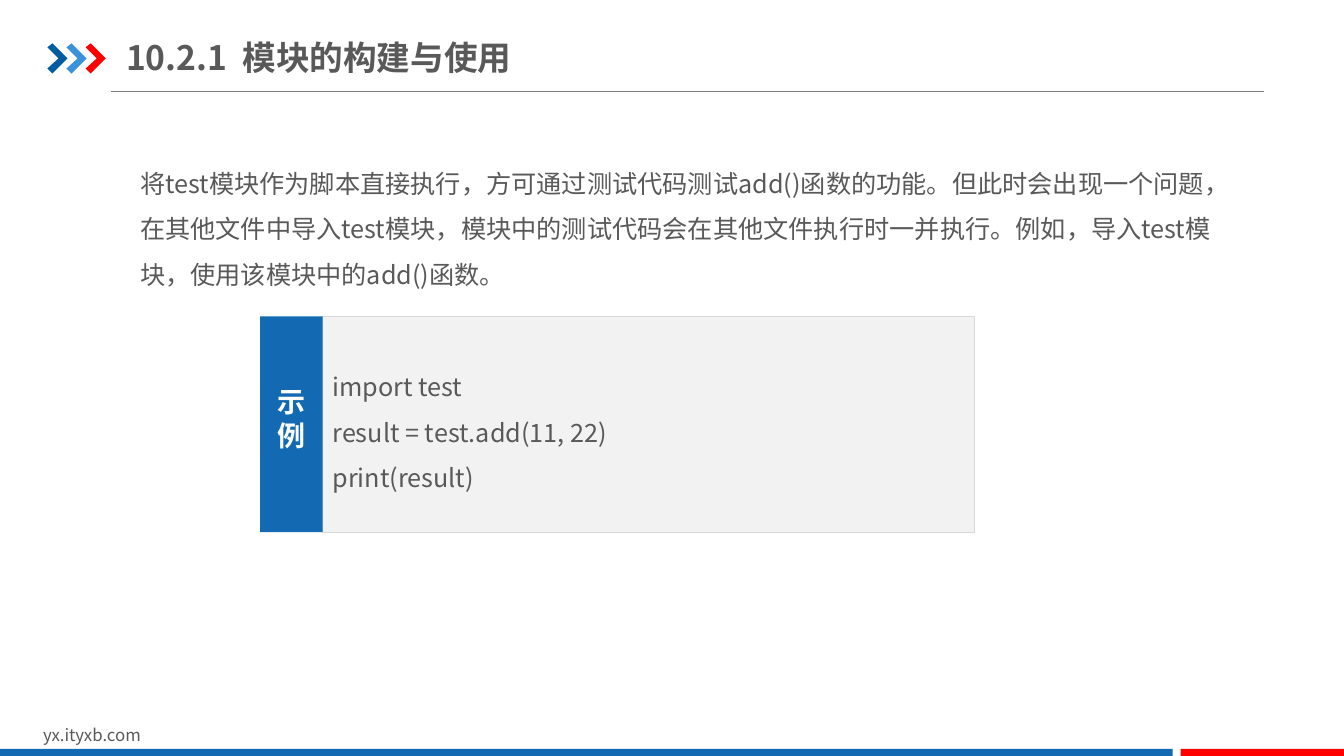
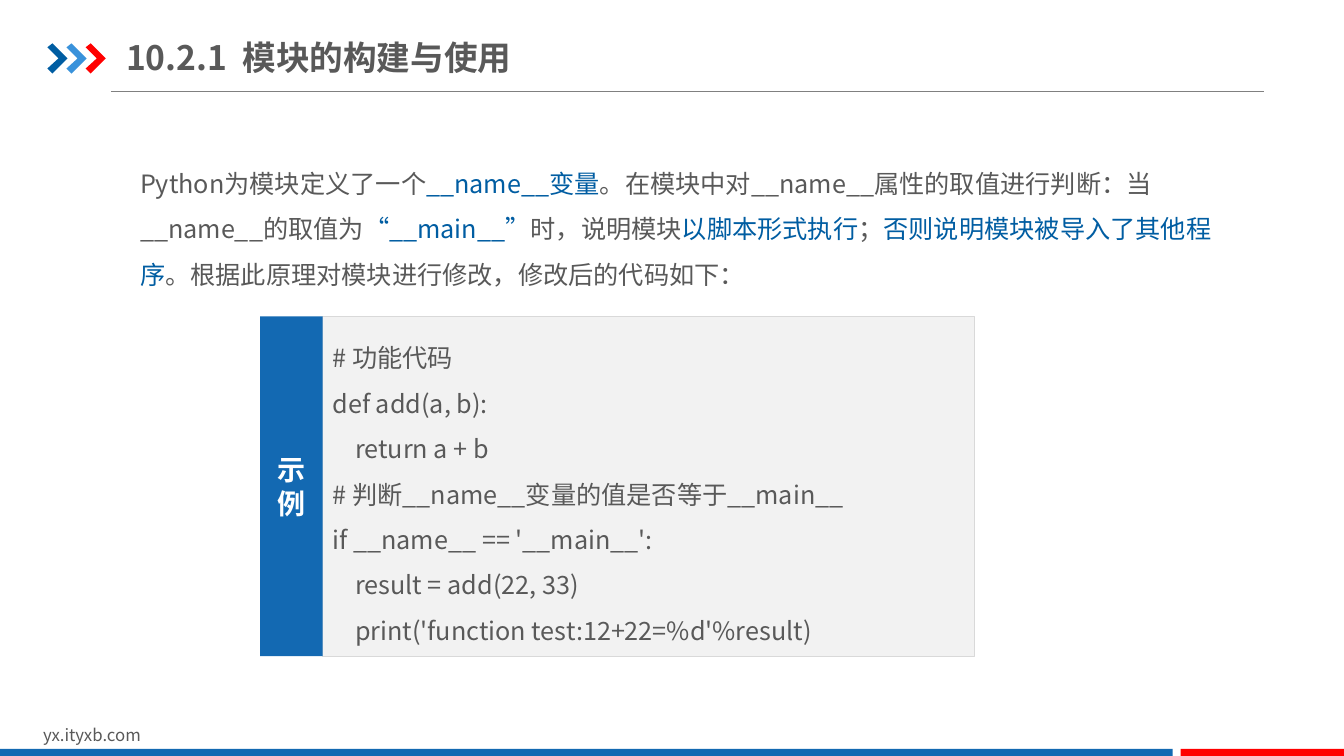
"""Build two slides on creating and using Python modules."""
from dataclasses import dataclass
from itertools import cycle

from lxml.etree import SubElement
from pptx import Presentation
from pptx.dml.color import RGBColor
from pptx.enum.shapes import MSO_CONNECTOR, MSO_SHAPE
from pptx.enum.text import MSO_ANCHOR, MSO_AUTO_SIZE, PP_ALIGN
from pptx.oxml.ns import qn
from pptx.util import Inches, Pt


@dataclass(frozen=True)
class Theme:
    """Colours, font and type sizes of the deck."""
    font: str = "Noto Sans CJK SC"
    text: str = "595959"
    white: str = "FFFFFF"
    navy: str = "005DA2"
    sky: str = "3992DB"
    blue: str = "1369B2"
    red: str = "FF0000"
    rule: str = "808080"
    panel: str = "F2F2F2"
    border: str = "D9D9D9"
    title_size: int = 24
    label_size: int = 20
    body_size: int = 18
    footer_size: int = 12


THEME = Theme()
TITLE = "10.2.1  模块的构建与使用"
CHEVRON = [(0, 0.04), (0.05, 0), (0.2, 0.15), (0.05, 0.3), (0, 0.25), (0.11, 0.15)]
SLIDES = [
    {
        "body": ["将test模块作为脚本直接执行，方可通过测试代码测试add()函数的功能。"
                 "但此时会出现一个问题，在其他文件中导入test模块，模块中的测试代码会在"
                 "其他文件执行时一并执行。例如，导入test模块，使用该模块中的add()函数。"],
        "code": ["import test", "result = test.add(11, 22)", "print(result)"],
        "height": 2.14,
        "label_top": 3.77,
    },
    {
        "body": ["Python为模块定义了一个", "__name__变量",
                 "。在模块中对__name__属性的取值进行判断：当__name__的取值为",
                 "“__main__”", "时，说明模块", "以脚本形式执行", "；",
                 "否则说明模块被导入了其他程序",
                 "。根据此原理对模块进行修改，修改后的代码如下："],
        "code": ["# 功能代码", "def add(a, b):", "    return a + b",
                 "# 判断__name__变量的值是否等于__main__",
                 "if __name__ == '__main__':", "    result = add(22, 33)",
                 "    print('function test:12+22=%d'%result)"],
        "height": 3.37,
        "label_top": 4.44,
    },
]


def rgb(color):
    """Turn a hex string into a colour."""
    return RGBColor.from_string(color)


def apply(target, values):
    """Set each named format value on the target."""
    for name, value in values.items():
        setattr(target, name, value)


def write(tf, paragraphs, size, bold=False, frame=None, para=None):
    """Fill a text frame with paragraphs of (text, colour) runs."""
    apply(tf, {"word_wrap": True, **(frame or {})})
    for i, runs in enumerate(paragraphs):
        p = tf.add_paragraph() if i else tf.paragraphs[0]
        apply(p, {"alignment": PP_ALIGN.LEFT, **(para or {})})
        for text, color in runs:
            r = p.add_run()
            r.text = text
            apply(r.font, {"name": THEME.font, "size": Pt(size), "bold": bold})
            r.font.color.rgb = rgb(color)
            SubElement(r.font._element, qn("a:ea"), typeface=THEME.font)


def paint(sp, fill, line=None):
    """Give a shape a flat fill and an optional hairline."""
    sp.shadow.inherit = False
    sp.fill.solid()
    sp.fill.fore_color.rgb = rgb(fill)
    if line:
        sp.line.color.rgb = rgb(line)
        sp.line.width = Pt(0.25)
    else:
        sp.line.fill.background()


def add_rect(s, box, fill, line=None):
    """Add a flat rectangle."""
    sp = s.shapes.add_shape(MSO_SHAPE.RECTANGLE, *map(Inches, box))
    paint(sp, fill, line)
    return sp


def add_text(s, box, paragraphs, size, **formats):
    """Add a text box that grows with its text."""
    tf = s.shapes.add_textbox(*map(Inches, box)).text_frame
    write(tf, paragraphs, size,
          frame={"auto_size": MSO_AUTO_SIZE.SHAPE_TO_FIT_TEXT}, **formats)


def add_chevron(s, left, top, color):
    """Add one chevron outline."""
    points = [(Inches(left + x), Inches(top + y)) for x, y in CHEVRON]
    builder = s.shapes.build_freeform(*points[0])
    builder.add_line_segments(points[1:], close=True)
    paint(builder.convert_to_shape(), color)


def add_rule(s):
    """Add the line under the title."""
    ln = s.shapes.add_connector(MSO_CONNECTOR.STRAIGHT,
                                *map(Inches, (1.1, 0.91, 12.54, 0.91)))
    ln.line.color.rgb = rgb(THEME.rule)
    ln.line.width = Pt(0.75)
    SubElement(ln._element.spPr, qn("a:effectLst"))


def add_frame(s):
    """Draw the header marks and footer shared by all slides."""
    add_rule(s)
    for i, color in enumerate((THEME.navy, THEME.sky, THEME.red)):
        add_chevron(s, 0.47 + 0.19 * i, 0.43, color)
    add_text(s, (0.33, 7.14, 3.18, 0.3), [[("yx.ityxb.com", THEME.text)]],
             THEME.footer_size)
    add_rect(s, (0, 7.43, 11.63, 0.09), THEME.blue)
    add_rect(s, (11.71, 7.43, 1.63, 0.09), THEME.red)


def set_title(s, text):
    """Place and format the title placeholder."""
    sp = s.shapes.title
    apply(sp, dict(zip(("left", "top", "width", "height"),
                       map(Inches, (1.25, 0.29, 5.81, 0.55)))))
    write(sp.text_frame, [[(text, THEME.text)]], THEME.title_size, bold=True,
          frame={"auto_size": MSO_AUTO_SIZE.NONE,
                 "vertical_anchor": MSO_ANCHOR.MIDDLE,
                 "margin_left": 0, "margin_right": 0,
                 "margin_top": Inches(0.07), "margin_bottom": Inches(0.07)})


def add_body(s, parts):
    """Add the explanation, with every second part highlighted."""
    runs = list(zip(parts, cycle((THEME.text, THEME.navy))))
    add_text(s, (1.29, 1.47, 10.89, 1.41), [runs], THEME.body_size,
             para={"line_spacing": 1.5})


def add_example(s, code, height, label_top):
    """Add a code panel with its example tab."""
    panel = add_rect(s, (3.2, 3.14, 6.46, height), THEME.panel, THEME.border)
    write(panel.text_frame, [[(line, THEME.text)] for line in code],
          THEME.body_size, frame={"vertical_anchor": MSO_ANCHOR.MIDDLE},
          para={"line_spacing": 1.5})
    add_rect(s, (2.58, 3.14, 0.62, height), THEME.blue)
    add_text(s, (2.65, label_top, 0.48, 0.77),
             [[(char, THEME.white)] for char in "示例"], THEME.label_size,
             bold=True, para={"alignment": PP_ALIGN.CENTER})


def main():
    """Build and save the deck."""
    prs = Presentation()
    apply(prs, {"slide_width": Inches(13.33), "slide_height": Inches(7.5)})
    for content in SLIDES:
        s = prs.slides.add_slide(prs.slide_layouts.get_by_name("Title Only"))
        add_frame(s)
        set_title(s, TITLE)
        add_body(s, content["body"])
        add_example(s, content["code"], content["height"], content["label_top"])
    prs.save("out.pptx")


if __name__ == "__main__":
    main()
